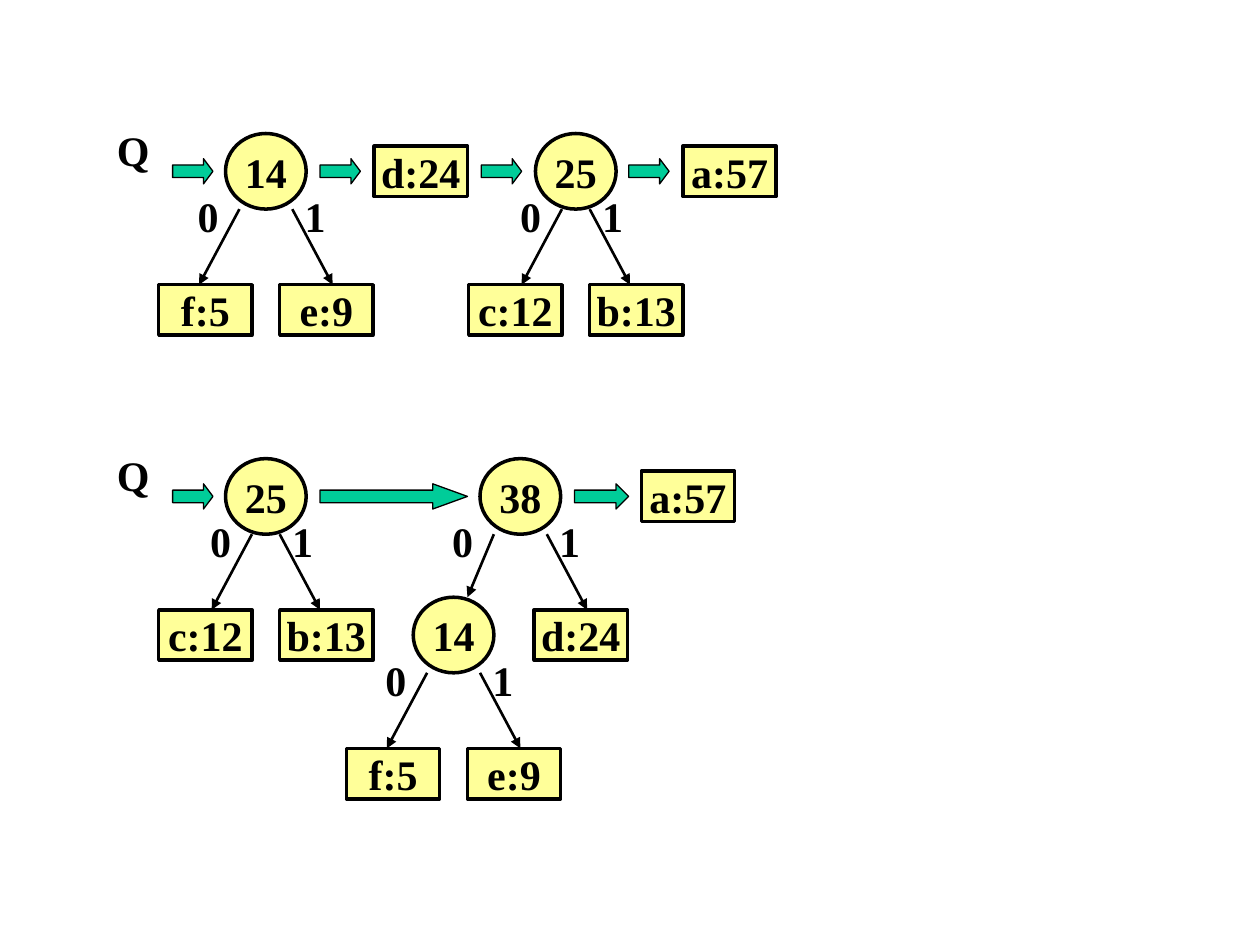
from dataclasses import dataclass

import pptx
import pptx.dml.color
import pptx.enum.shapes
import pptx.enum.text
import pptx.oxml
import pptx.oxml.ns
import pptx.shapes.autoshape
import pptx.shapes.connector
import pptx.shapes.shapetree
import pptx.util

Inches = pptx.util.Inches
Pt = pptx.util.Pt
SHAPE = pptx.enum.shapes.MSO_SHAPE
Shapes = pptx.shapes.shapetree.GroupShapes

COLORS = {"node": "FFFF99", "arrow": "00CC99", "ink": "000000"}
FONT = "Times New Roman"
CIRCLE_W, CIRCLE_H = 0.64, 0.6
BOX_W, BOX_H = 0.74, 0.4
LEAF_LEFT, LEAF_RIGHT = -0.85, 0.11
DROP = 0.6


@dataclass
class Tree:
    """An inner node; a child is a leaf text, or a tree placed on its own."""
    text: str
    cx: float
    spread: float
    left: "str | Tree"
    right: str


@dataclass
class Arrow:
    """A queue arrow; head is its head length relative to its height."""
    x: float
    width: float = 0.32
    head: float = 0.375


@dataclass
class Queue:
    """One row: trees, single leaves by left edge, and arrows."""
    top: float
    trees: list[Tree]
    leaves: dict[str, float]
    arrows: list[Arrow]


QUEUES = [
    Queue(3.64,
          [Tree("25", 2.11, 0.11, "c:12", "b:13"),
           Tree("38", 4.13, 0.21, Tree("14", 3.6, 0.21, "f:5", "e:9"), "d:24")],
          {"a:57": 5.09},
          [Arrow(1.37), Arrow(2.54, 1.17, 1.375), Arrow(4.56, 0.43, 0.5)]),
    Queue(1.06,
          [Tree("14", 2.11, 0.21, "f:5", "e:9"),
           Tree("25", 4.57, 0.11, "c:12", "b:13")],
          {"d:24": 2.97, "a:57": 5.42},
          [Arrow(1.37), Arrow(2.54), Arrow(3.82), Arrow(4.99)]),
]


def rgb(name: str) -> pptx.dml.color.RGBColor:
    """Look up a named colour."""
    return pptx.dml.color.RGBColor.from_string(COLORS[name])


def write(sp: pptx.shapes.autoshape.Shape, text: str,
          align: pptx.enum.text.PP_ALIGN) -> None:
    """Put bold, unwrapped, vertically centred text in a shape."""
    tf = sp.text_frame
    tf.word_wrap = False
    tf.vertical_anchor = pptx.enum.text.MSO_ANCHOR.MIDDLE
    p = tf.paragraphs[0]
    p.alignment = align
    r = p.add_run()
    r.text = text
    r.font.name, r.font.size, r.font.bold = FONT, Pt(24), True
    r.font.color.rgb = rgb("ink")


def add_filled(shapes: Shapes, kind: SHAPE, x: float, y: float, w: float,
               h: float, fill: str, line: float) -> pptx.shapes.autoshape.Shape:
    """Add an outlined preset shape."""
    sp = shapes.add_shape(kind, Inches(x), Inches(y), Inches(w), Inches(h))
    sp.shadow.inherit = False
    sp.fill.solid()
    sp.fill.fore_color.rgb = rgb(fill)
    sp.line.color.rgb = rgb("ink")
    sp.line.width = Pt(line)
    return sp


def add_leaf(shapes: Shapes, text: str, x: float, y: float) -> None:
    """Add a rectangular leaf."""
    sp = add_filled(shapes, SHAPE.RECTANGLE, x, y, BOX_W, BOX_H, "node", 2)
    write(sp, text, pptx.enum.text.PP_ALIGN.CENTER)


def add_label(shapes: Shapes, text: str, x: float, y: float, w: float, h: float) -> None:
    """Add a free-standing label."""
    sp = shapes.add_textbox(Inches(x), Inches(y), Inches(w), Inches(h))
    write(sp, text, pptx.enum.text.PP_ALIGN.LEFT)


def add_branch(shapes: Shapes, x1: float, y1: float, x2: float, y2: float) -> None:
    """Add a line ending in a triangle."""
    line = shapes.add_connector(pptx.enum.shapes.MSO_CONNECTOR.STRAIGHT,
                                Inches(x1), Inches(y1), Inches(x2), Inches(y2))
    line.line.color.rgb = rgb("ink")
    line.line.width = Pt(1.5)
    ns = pptx.oxml.ns.nsdecls("a")
    line.line._get_or_add_ln().append(
        pptx.oxml.parse_xml(f'<a:tailEnd {ns} type="triangle"/>'))
    line._element.spPr.append(pptx.oxml.parse_xml(f"<a:effectLst {ns}/>"))


def add_tree(shapes: Shapes, tree: Tree, top: float) -> None:
    """Add a circle with its two branches, bit labels and children."""
    sp = add_filled(shapes, SHAPE.OVAL, tree.cx - CIRCLE_W / 2, top,
                    CIRCLE_W, CIRCLE_H, "node", 2)
    write(sp, tree.text, pptx.enum.text.PP_ALIGN.CENTER)
    bottom = top + CIRCLE_H
    sides = [("0", -1, tree.left, LEAF_LEFT, -tree.spread - 0.43),
             ("1", 1, tree.right, LEAF_RIGHT, tree.spread)]
    for bit, sign, child, leaf_dx, label_dx in sides:
        start = tree.cx + sign * tree.spread
        if isinstance(child, Tree):
            add_branch(shapes, start, bottom, child.cx + 0.11, bottom + 0.5)
            add_tree(shapes, child, bottom + 0.5)
        else:
            add_branch(shapes, start, bottom, start + sign * 0.32, bottom + DROP)
            add_leaf(shapes, child, tree.cx + leaf_dx, bottom + DROP)
        add_label(shapes, bit, tree.cx + label_dx, top + 0.37, 0.4, 0.57)


def add_queue(shapes: Shapes, queue: Queue) -> None:
    """Add one complete queue row."""
    for tree in queue.trees:
        add_tree(shapes, tree, queue.top)
    for text, x in queue.leaves.items():
        add_leaf(shapes, text, x, queue.top + 0.1)
    add_label(shapes, "Q", 0.83, queue.top - 0.22, 0.5, 0.7)
    for arrow in queue.arrows:
        sp = add_filled(shapes, SHAPE.RIGHT_ARROW, arrow.x, queue.top + 0.2,
                        arrow.width, 0.2, "arrow", 0.75)
        sp.adjustments[0] = 0.5
        sp.adjustments[1] = arrow.head


prs = pptx.Presentation()
prs.slide_width, prs.slide_height = Inches(10), Inches(7.5)
s = prs.slides.add_slide(prs.slide_layouts[6])
for queue in QUEUES:
    add_queue(s.shapes.add_group_shape().shapes, queue)
prs.save("out.pptx")
